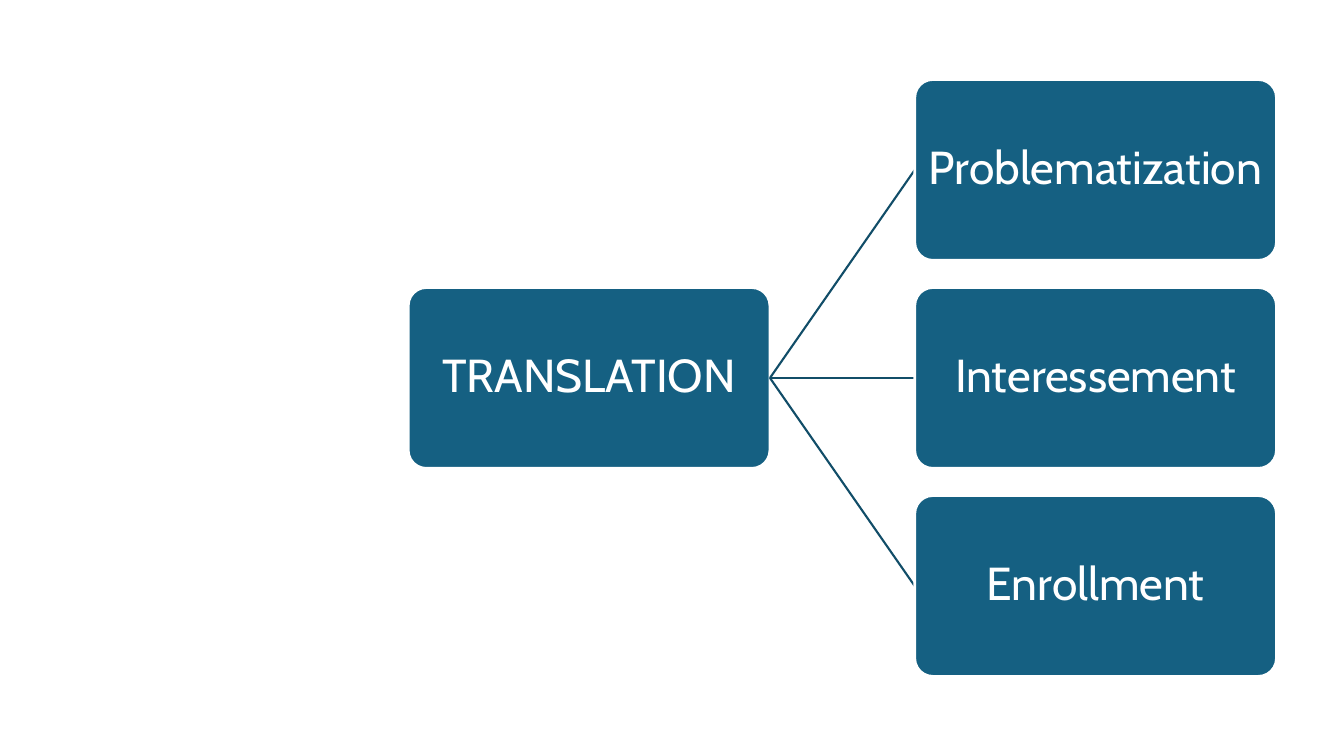
from lxml import etree
from pptx import Presentation
from pptx.dml.color import RGBColor
from pptx.enum.shapes import MSO_CONNECTOR as CONNECTOR, MSO_SHAPE as SHAPE
from pptx.enum.text import MSO_ANCHOR as ANCHOR, PP_ALIGN as ALIGN
from pptx.oxml.ns import qn
from pptx.util import Pt

NODE_WIDTH, NODE_HEIGHT = 258.4, 129.2
LEVEL_GAP, ROW_GAP = 103.4, 19.4
RIGHT_SIDE, LEFT_SIDE = 3, 1


def color(hex_string):
    return RGBColor.from_string(hex_string)


def add_node(slide, left, top, label):
    node = slide.shapes.add_shape(SHAPE.ROUNDED_RECTANGLE, Pt(left), Pt(top),
                                  Pt(NODE_WIDTH), Pt(NODE_HEIGHT))
    node.adjustments[0] = 0.1
    node.shadow.inherit = False
    node.fill.solid()
    node.fill.fore_color.rgb = color("156082")
    node.line.color.rgb = color("FFFFFF")
    node.line.width = Pt(2)

    frame = node.text_frame
    frame.text = label
    frame.word_wrap = True
    frame.vertical_anchor = ANCHOR.MIDDLE
    frame.margin_left = frame.margin_right = Pt(5.4)
    frame.margin_top = frame.margin_bottom = Pt(5.4)
    paragraph = frame.paragraphs[0]
    paragraph.alignment = ALIGN.CENTER
    paragraph.line_spacing = 0.9
    font = paragraph.runs[0].font
    font.name = "Cabin"
    font.size = Pt(33)
    font.color.rgb = color("FFFFFF")
    return node


def add_link(slide, root):
    """Start a line at the root's right side; its end is joined later."""
    link = slide.shapes.add_connector(CONNECTOR.STRAIGHT, 0, 0, 0, 0)
    link.begin_connect(root, RIGHT_SIDE)
    link.line.color.rgb = color("114D68")
    link.line.width = Pt(1.5)
    etree.SubElement(link._element.spPr, qn("a:effectLst"))
    return link


def add_tree(slide, left, top, root_label, branch_labels):
    """Place a root node, centred beside a column of linked branches."""
    pitch = NODE_HEIGHT + ROW_GAP
    root_top = top + pitch * (len(branch_labels) - 1) / 2
    root = add_node(slide, left, root_top, root_label)
    branch_left = left + NODE_WIDTH + LEVEL_GAP
    for row, label in enumerate(branch_labels):
        # The link goes below the branch, whose outline trims its end.
        link = add_link(slide, root)
        branch = add_node(slide, branch_left, top + row * pitch, label)
        link.end_connect(branch, LEFT_SIDE)


def main():
    presentation = Presentation()
    presentation.slide_width = Pt(960)
    presentation.slide_height = Pt(540)
    slide = presentation.slides.add_slide(presentation.slide_layouts[6])
    add_tree(slide, 291.6, 56.8, "TRANSLATION",
             ["Problematization", "Interessement", "Enrollment"])
    presentation.save("out.pptx")


if __name__ == "__main__":
    main()
